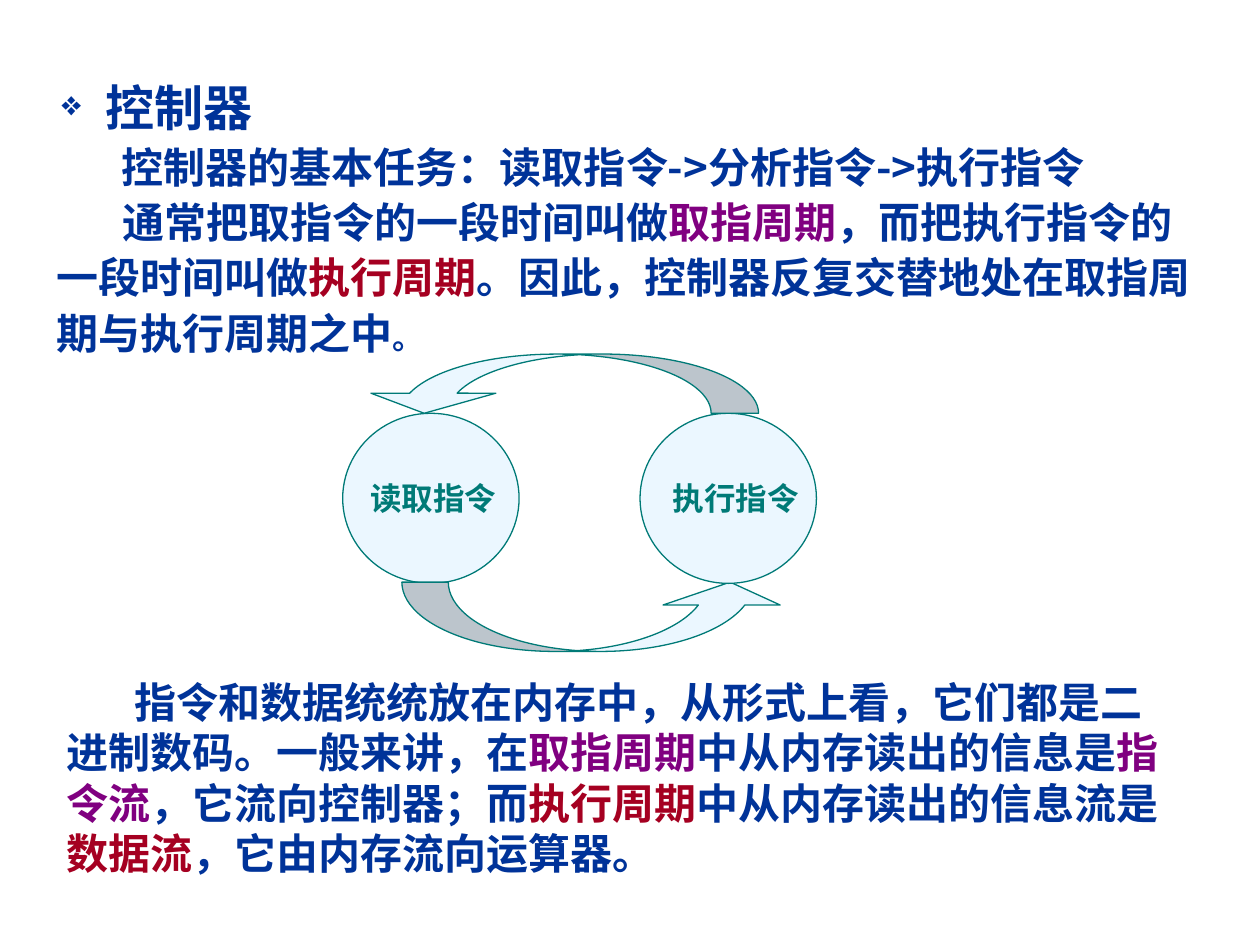
from dataclasses import dataclass

import pptx
import pptx.dml.color
import pptx.enum.shapes
import pptx.enum.text
import pptx.oxml.ns
import pptx.util
from lxml import etree

RGBColor = pptx.dml.color.RGBColor
MSO_SHAPE = pptx.enum.shapes.MSO_SHAPE
MSO_ANCHOR = pptx.enum.text.MSO_ANCHOR
Pt = pptx.util.Pt
qn = pptx.oxml.ns.qn

NAVY = RGBColor(0x00, 0x33, 0x99)
PURPLE = RGBColor(0x80, 0x00, 0x80)
RED = RGBColor(0xA5, 0x00, 0x21)
TEAL = RGBColor(0x00, 0x7A, 0x77)
PALE = RGBColor(0xEB, 0xF7, 0xFF)

LATIN_FONT = "Arial"
CJK_FONT = "Noto Sans CJK SC"

# The slide is a grid of square cells.
COLUMNS, ROWS = 100, 75
CELL = pptx.util.Inches(0.1)


@dataclass(frozen=True)
class Box:
    """A place on the grid, in columns and rows."""
    col: float
    row: float
    cols: float
    rows: float

    def emu(self) -> list[int]:
        return [round(n * CELL) for n in (self.col, self.row, self.cols, self.rows)]


@dataclass(frozen=True)
class Run:
    text: str
    color: RGBColor = NAVY
    size: float = 24
    latin: str = LATIN_FONT


@dataclass(frozen=True)
class Paragraph:
    """Margin and indent are in columns, leading in points."""
    runs: tuple[Run, ...]
    leading: float
    margin: float = 0
    indent: float = 0
    bullet: str = ""


@dataclass(frozen=True)
class TextBlock:
    box: Box
    paragraphs: tuple[Paragraph, ...]
    anchor: MSO_ANCHOR = MSO_ANCHOR.TOP


@dataclass(frozen=True)
class Step:
    """A circle of the cycle and the place of its label."""
    circle: Box
    label: Box
    text: str


@dataclass(frozen=True)
class CycleArrow:
    """Adjustments: shaft width, head width, head length."""
    box: Box
    rotation: float
    adjustments: tuple[float, float, float]


BLOCKS = (
    TextBlock(Box(2.7, 5.2, 95.3, 11), (
        Paragraph((Run("控制器", size=28),), 37, margin=4.7, indent=-3.5, bullet="❖"),
        Paragraph((Run("控制器的基本任务：读取指令->分析指令->执行指令", latin=CJK_FONT),),
                  31.7, margin=6),
    )),
    TextBlock(Box(3.5, 14.7, 92.9, 14.2), (
        Paragraph((
            Run("通常把取指令的一段时间叫做"),
            Run("取指周期", PURPLE),
            Run("，而把执行指令的一段时间叫做"),
            Run("执行周期", RED),
            Run("。因此，控制器反复交替地处在取指周期与执行周期之中"),
            Run("。", size=18),
        ), 31.7, indent=5.2),
    )),
    TextBlock(Box(4.3, 53.2, 90.6, 17), (
        Paragraph((
            Run("指令和数据统统放在内存中，从形式上看，它们都是二进制数码。一般来讲，在"),
            Run("取指周期", PURPLE),
            Run("中从内存读出的信息是"),
            Run("指令流", PURPLE),
            Run("，它流向控制器；而"),
            Run("执行周期", RED),
            Run("中从内存读出的信息流是"),
            Run("数据流", RED),
            Run("，它由内存流向运算器。"),
        ), 28.8, indent=5.4),
    ), MSO_ANCHOR.MIDDLE),
)

STEPS = (
    Step(Box(27.2, 32.8, 14, 13.5), Box(28.4, 37.5, 12.6, 4), "读取指令"),
    Step(Box(50.8, 32.8, 14, 13.5), Box(52.4, 37.5, 12.6, 4), "执行指令"),
)

ARROWS = (
    CycleArrow(Box(31.9, 46.2, 30.7, 5.5), 0, (0.67, 1.69, 0.33)),
    CycleArrow(Box(28.7, 28.1, 31.5, 4.7), 180, (0.8, 2.11, 0.34)),
)


def add_run(p, run: Run) -> None:
    r = p.add_run()
    r.text = run.text
    r.font.name = run.latin
    r.font.size = Pt(run.size)
    r.font.bold = True
    r.font.color.rgb = run.color
    latin = r.font._element.find(qn("a:latin"))
    ea = etree.Element(qn("a:ea"), typeface=CJK_FONT)
    latin.addnext(ea)


def format_paragraph(p, paragraph: Paragraph) -> None:
    p.line_spacing = Pt(paragraph.leading)
    pPr = p._p.get_or_add_pPr()
    pPr.set("marL", str(round(paragraph.margin * CELL)))
    pPr.set("indent", str(round(paragraph.indent * CELL)))
    if paragraph.bullet:
        color = etree.SubElement(pPr, qn("a:buClr"))
        etree.SubElement(color, qn("a:srgbClr"), val=str(NAVY))
        etree.SubElement(pPr, qn("a:buSzPct"), val="70000")
        etree.SubElement(pPr, qn("a:buChar"), char=paragraph.bullet)


def add_text(slide, block: TextBlock) -> None:
    tf = slide.shapes.add_textbox(*block.box.emu()).text_frame
    tf.word_wrap = True
    tf.vertical_anchor = block.anchor
    for i, paragraph in enumerate(block.paragraphs):
        p = tf.add_paragraph() if i else tf.paragraphs[0]
        format_paragraph(p, paragraph)
        for run in paragraph.runs:
            add_run(p, run)


def add_pale_shape(slide, kind: MSO_SHAPE, box: Box):
    sp = slide.shapes.add_shape(kind, *box.emu())
    sp.shadow.inherit = False
    sp.fill.solid()
    sp.fill.fore_color.rgb = PALE
    sp.line.color.rgb = TEAL
    sp.line.width = Pt(0.75)
    return sp


def add_step(slide, step: Step) -> None:
    add_pale_shape(slide, MSO_SHAPE.OVAL, step.circle)
    label = Paragraph((Run(step.text, TEAL, 18),), 21.6)
    add_text(slide, TextBlock(step.label, (label,)))


def add_cycle_arrow(slide, arrow: CycleArrow) -> None:
    sp = add_pale_shape(slide, MSO_SHAPE.CURVED_UP_ARROW, arrow.box)
    sp.rotation = arrow.rotation
    for i, value in enumerate(arrow.adjustments):
        sp.adjustments[i] = value


def main() -> None:
    prs = pptx.Presentation()
    prs.slide_width = COLUMNS * CELL
    prs.slide_height = ROWS * CELL
    slide = prs.slides.add_slide(prs.slide_layouts[6])
    for step, arrow in zip(STEPS, ARROWS):
        add_step(slide, step)
        add_cycle_arrow(slide, arrow)
    for block in BLOCKS:
        add_text(slide, block)
    prs.save("out.pptx")


if __name__ == "__main__":
    main()
